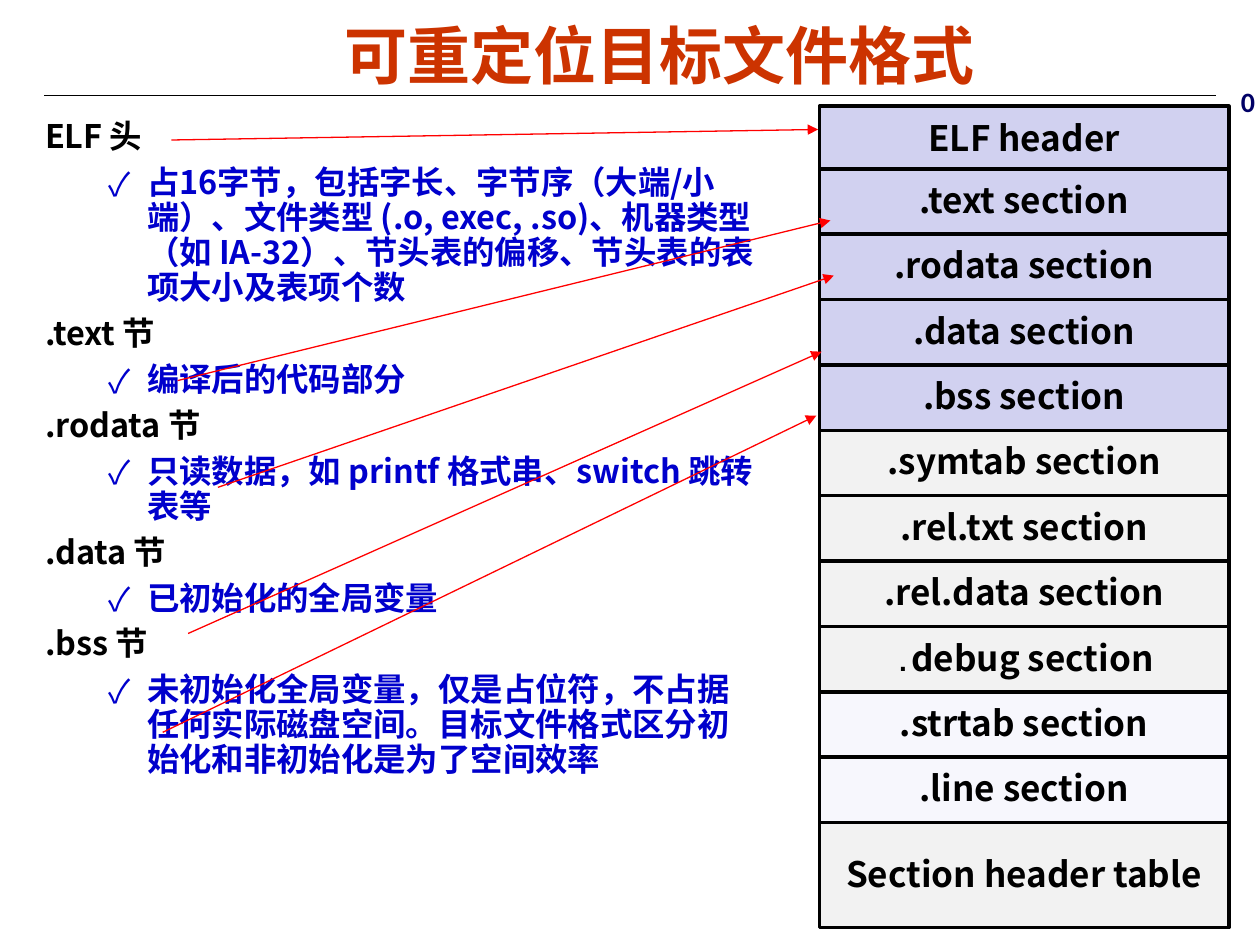
from pptx import Presentation
from pptx.dml.color import RGBColor
from pptx.enum.shapes import MSO_CONNECTOR, MSO_SHAPE
from pptx.enum.text import MSO_ANCHOR, PP_ALIGN
from pptx.oxml.ns import qn
from pptx.util import Pt
from lxml import etree

RECTANGLE = MSO_SHAPE.RECTANGLE
STRAIGHT = MSO_CONNECTOR.STRAIGHT
CENTER, LEFT = PP_ALIGN.CENTER, PP_ALIGN.LEFT
MIDDLE, TOP = MSO_ANCHOR.MIDDLE, MSO_ANCHOR.TOP

SANS = "Noto Sans CJK SC"
BLACK, BLUE, RED = "000000", "0000CC", "FF0000"
LOADED, TABLES, STRINGS = "D1D1F0", "F2F2F2", "D6D6F5"

NOTES = [
    ("ELF 头", "占16字节，包括字长、字节序（大端/小端）、文件类型 (.o, exec, .so)、"
               "机器类型（如 IA-32）、节头表的偏移、节头表的表项大小及表项个数"),
    (".text 节", "编译后的代码部分"),
    (".rodata 节", "只读数据，如 printf 格式串、switch 跳转表等"),
    (".data 节", "已初始化的全局变量"),
    (".bss 节", "未初始化全局变量，仅是占位符，不占据任何实际磁盘空间。"
                "目标文件格式区分初始化和非初始化是为了空间效率"),
]
SECTIONS = [
    (".text section", LOADED), (".rodata section", LOADED),
    (".data section", LOADED), (".bss section", LOADED),
    (".symtab section", TABLES), (".rel.txt section", TABLES),
    (".rel.data section", TABLES), (".debug section", TABLES),
    (".strtab section", STRINGS), (".line section", STRINGS),
]
ARROWS = [
    (98, 80, 467.5, 74), (101.5, 217.5, 474.5, 126), (124.5, 278.5, 476.5, 157.5),
    (107.5, 362, 469.5, 201), (93, 418.5, 466.5, 237.5),
]
BOX_LEFT, BOX_WIDTH, BOX_HEIGHT = 468.2, 234, 37.4
FIRST_SECTION_TOP, SECTION_PITCH = 96.5, 37.35


def color(value):
    return RGBColor.from_string(value)


class SlideBuilder:
    def __init__(self, slide):
        self.slide = slide

    def format_run(self, run, size, fill, font=SANS):
        run.font.size = Pt(size)
        run.font.bold = True
        run.font.name = font
        run.font.color.rgb = color(fill)
        east_asian = etree.SubElement(run.font._element, qn("a:ea"))
        east_asian.set("typeface", SANS)

    def text(self, left, top, width, height, content, size, fill, font=SANS,
             align=LEFT, anchor=TOP, wrap=True):
        shape = self.slide.shapes.add_textbox(Pt(left), Pt(top), Pt(width), Pt(height))
        frame = shape.text_frame
        frame.word_wrap = wrap
        frame.vertical_anchor = anchor
        frame.text = content
        paragraph = frame.paragraphs[0]
        paragraph.alignment = align
        self.format_run(paragraph.runs[0], size, fill, font)

    def notes(self, left, top, width, height, entries):
        shape = self.slide.shapes.add_textbox(Pt(left), Pt(top), Pt(width), Pt(height))
        frame = shape.text_frame
        frame.word_wrap = True
        for index, (heading, detail) in enumerate(entries):
            paragraph = frame.paragraphs[0] if index == 0 else frame.add_paragraph()
            self.note_line(paragraph, heading, BLACK, 27, -27, 6.2 if index else 0)
            paragraph = frame.add_paragraph()
            self.note_line(paragraph, detail, BLUE, 58.3, -22.3, 6.2, bullet="✓")

    def note_line(self, paragraph, content, fill, margin, indent, space_before, bullet=None):
        paragraph.text = content
        paragraph.line_spacing = 0.9
        paragraph.space_before = Pt(space_before)
        properties = paragraph._p.get_or_add_pPr()
        properties.set("marL", str(Pt(margin)))
        properties.set("indent", str(Pt(indent)))
        if bullet:
            paragraph.level = 1
            bullet_color = etree.SubElement(properties, qn("a:buClr"))
            etree.SubElement(bullet_color, qn("a:srgbClr")).set("val", fill)
            etree.SubElement(properties, qn("a:buFont")).set("typeface", SANS)
            etree.SubElement(properties, qn("a:buChar")).set("char", bullet)
        self.format_run(paragraph.runs[0], 18.5, fill)

    def box(self, top, height, content, fill, opacity=None, spacing=0.94):
        shape = self.slide.shapes.add_shape(
            RECTANGLE, Pt(BOX_LEFT), Pt(top), Pt(BOX_WIDTH), Pt(height))
        shape.shadow.inherit = False
        shape.fill.solid()
        shape.fill.fore_color.rgb = color(fill)
        if opacity:
            fill_color = shape._element.spPr.find(qn("a:solidFill"))[0]
            etree.SubElement(fill_color, qn("a:alpha")).set("val", str(opacity * 1000))
        shape.line.color.rgb = color(BLACK)
        shape.line.width = Pt(2)
        frame = shape.text_frame
        frame.word_wrap = False
        frame.vertical_anchor = MIDDLE
        paragraph = frame.paragraphs[0]
        paragraph.alignment = CENTER
        paragraph.line_spacing = spacing
        if content == ".debug section":
            dot = paragraph.add_run()
            dot.text = "."
            self.format_run(dot, 16, BLACK, "Courier New")
            content = content[1:]
        run = paragraph.add_run()
        run.text = content
        self.format_run(run, 20, BLACK)

    def line(self, start_x, start_y, end_x, end_y, fill, arrow=False):
        connector = self.slide.shapes.add_connector(
            STRAIGHT, Pt(start_x), Pt(start_y), Pt(end_x), Pt(end_y))
        connector.line.color.rgb = color(fill)
        connector.line.width = Pt(0.75)
        if arrow:
            outline = connector.line._get_or_add_ln()
            etree.SubElement(outline, qn("a:tailEnd")).set("type", "triangle")
        etree.SubElement(connector._element.spPr, qn("a:effectLst"))


def main():
    presentation = Presentation()
    presentation.slide_width, presentation.slide_height = Pt(720), Pt(540)
    builder = SlideBuilder(presentation.slides.add_slide(presentation.slide_layouts[6]))

    # Title and rule
    builder.line(25.2, 54.7, 694.8, 54.7, BLACK)
    builder.text(33.8, 0, 686.2, 62, "可重定位目标文件格式", 36, "CC3300", "Arial",
                 align=CENTER, anchor=MIDDLE)

    # Explanations of the sections
    builder.notes(18.7, 65.5, 421.2, 451.4, NOTES)

    # File layout with its start offset
    builder.box(60.7, BOX_HEIGHT, "ELF header", LOADED, spacing=0.98)
    for index, (name, fill) in enumerate(SECTIONS):
        builder.box(FIRST_SECTION_TOP + index * SECTION_PITCH, BOX_HEIGHT, name, fill,
                    opacity=19 if fill == STRINGS else None)
    builder.box(470, 60, "Section header table", TABLES, spacing=0.98)
    builder.text(702, 45, 22.3, 26, "0", 16, "000066", "Calibri", wrap=False)

    # Arrows from explanations to sections
    for ends in ARROWS:
        builder.line(*ends, RED, arrow=True)

    presentation.save("out.pptx")


if __name__ == "__main__":
    main()
